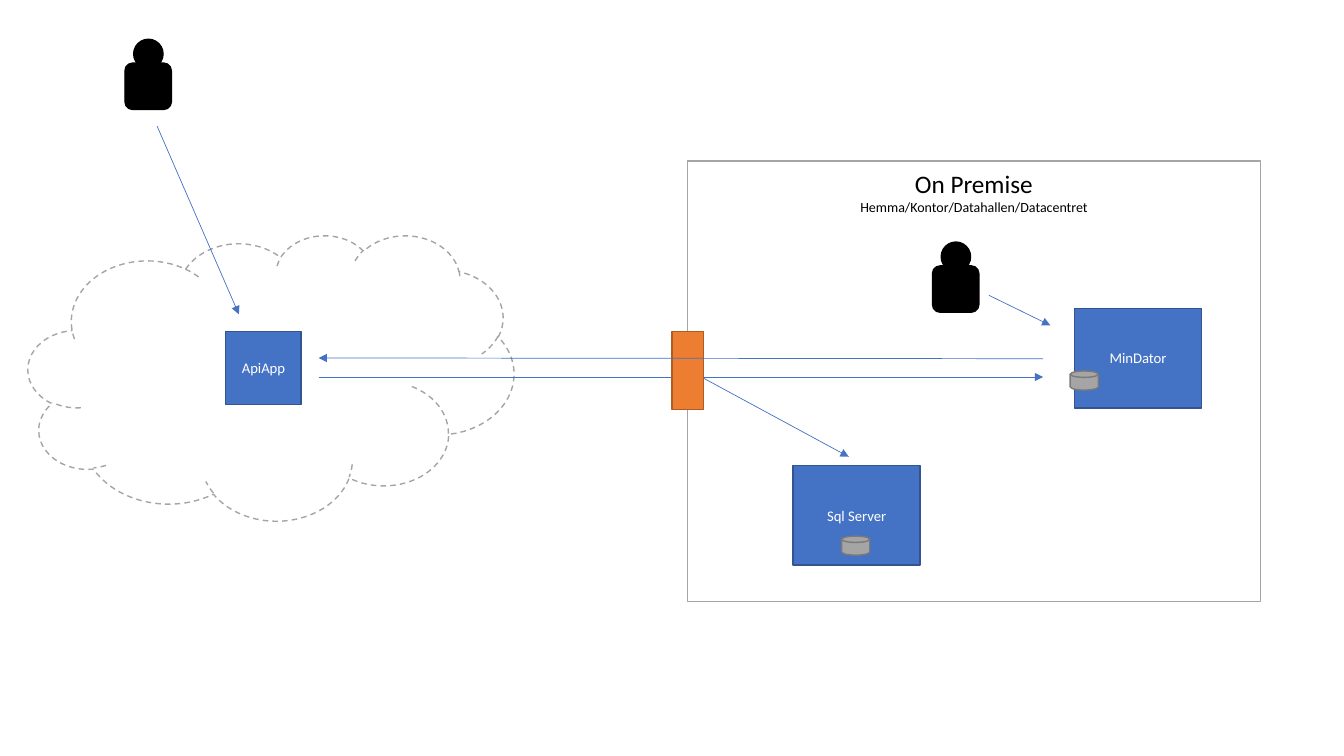
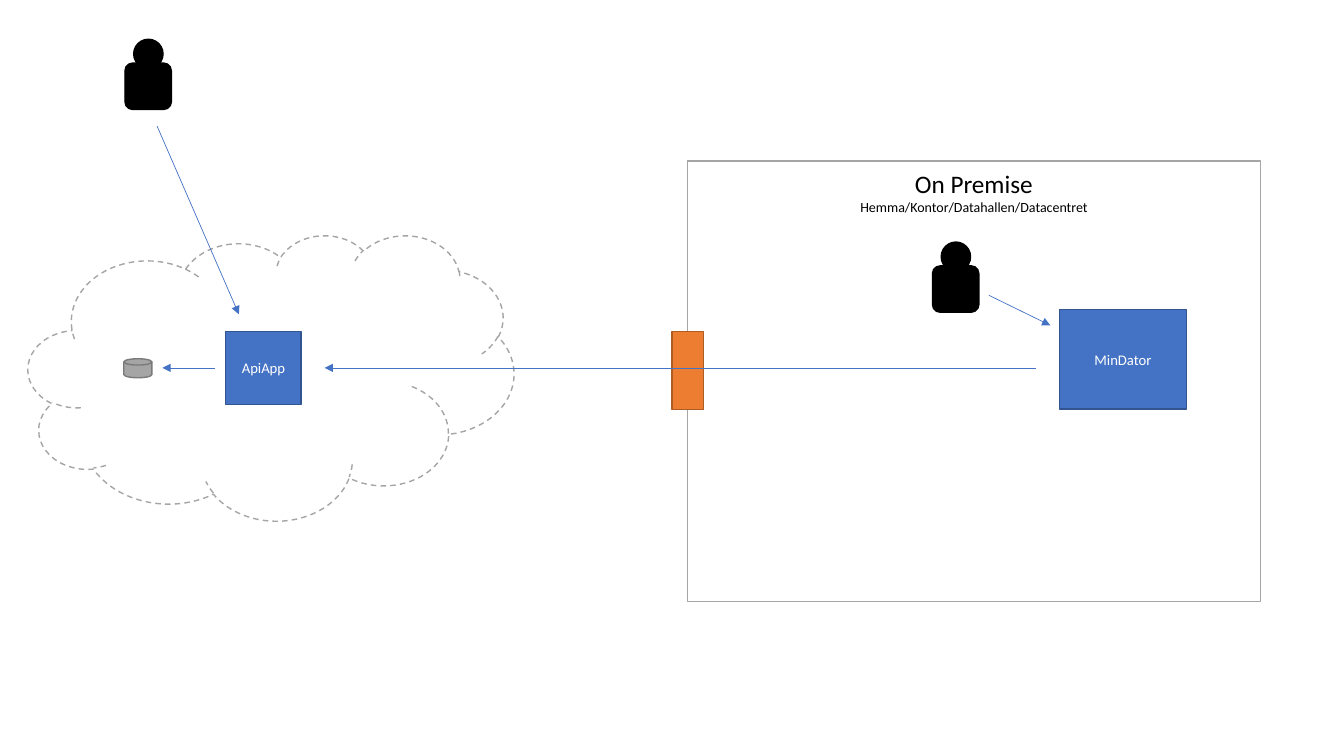
from lxml import etree
from pptx import Presentation
from pptx.dml.color import RGBColor
from pptx.enum.dml import MSO_LINE
from pptx.enum.shapes import MSO_CONNECTOR, MSO_SHAPE
from pptx.enum.text import MSO_ANCHOR, PP_ALIGN
from pptx.oxml.ns import qn
from pptx.util import Cm, Pt

RECT = MSO_SHAPE.RECTANGLE
ROUND = MSO_SHAPE.ROUNDED_RECTANGLE
OVAL = MSO_SHAPE.OVAL
CLOUD = MSO_SHAPE.CLOUD
DISK = MSO_SHAPE.FLOWCHART_MAGNETIC_DISK
STRAIGHT = MSO_CONNECTOR.STRAIGHT
DASH = MSO_LINE.DASH
CENTER = PP_ALIGN.CENTER
MIDDLE = MSO_ANCHOR.MIDDLE

FONT = "Calibri"
WHITE, BLACK = "FFFFFF", "000000"
BLUE, NAVY = "4472C4", "325491"
GRAY, SLATE = "A5A5A5", "7A7A7A"
ORANGE, BROWN = "ED7D31", "AF5C24"

SITE = (17.32, 4.06, 14.45, 11.1)
SKY = (0.71, 5.92, 12.24, 7.19)
HOST = (3.2, 2.51)


def color(code):
    return RGBColor.from_string(code)


def style(para, text, size, code):
    para.text = text
    para.alignment = CENTER
    para.font.name = FONT
    para.font.size = Pt(size)
    para.font.color.rgb = color(code)


def shape(parts, kind, box, fill, edge):
    item = parts.add_shape(kind, *map(Cm, box))
    item.shadow.inherit = False
    item.fill.solid()
    item.fill.fore_color.rgb = color(fill)
    item.line.color.rgb = color(edge)
    item.line.width = Pt(1)
    return item


def arrow(parts, start, end):
    line = parts.add_connector(STRAIGHT, *map(Cm, start + end))
    line.line.color.rgb = color(BLUE)
    line.line.width = Pt(0.5)
    props = line._element.spPr
    tail = etree.SubElement(props.find(qn("a:ln")), qn("a:tailEnd"))
    tail.set("type", "triangle")
    etree.SubElement(props, qn("a:effectLst"))


def node(parts, box, text):
    item = shape(parts, RECT, box, BLUE, NAVY)
    item.text_frame.vertical_anchor = MIDDLE
    style(item.text_frame.paragraphs[0], text, 10.5, WHITE)


def disk(parts, left, top):
    shape(parts, DISK, (left, top, 0.71, 0.48), GRAY, SLATE)


def host(parts, left, top, text, store=None):
    group = parts.add_group_shape().shapes
    node(group, (left, top) + HOST, text)
    if store:
        disk(group, left + store[0], top + store[1])


def person(parts, left, top):
    group = parts.add_group_shape().shapes
    shape(group, OVAL, (left + 0.22, top, 0.74, 0.74), BLACK, BLACK)
    shape(group, ROUND, (left, top + 0.6, 1.17, 1.17), BLACK, BLACK)


def site(parts, box):
    left, top, width, height = box
    shape(parts, RECT, box, WHITE, GRAY)
    title = parts.add_textbox(
        Cm(left + (width - 6.35) / 2), Cm(top + 0.05), Cm(6.35), Cm(1.45))
    frame = title.text_frame
    frame.word_wrap = False
    style(frame.paragraphs[0], "On Premise", 18, BLACK)
    style(frame.add_paragraph(), "Hemma/Kontor/Datahallen/Datacentret", 10, BLACK)
    person(parts, left + 6.18, top + 2.04)
    arrow(parts, (left + 7.6, top + 3.38), (left + 9.15, top + 4.14))


def cloud(parts, box):
    left, top = box[:2]
    shape(parts, CLOUD, box, WHITE, GRAY).line.dash_style = DASH
    node(parts, (left + 4.98, top + 2.44, 1.9, 1.83), "ApiApp")
    person(parts, left + 2.44, top - 4.93)
    arrow(parts, (left + 3.25, top - 2.74), (left + 5.31, top + 2))


def gate(parts, box):
    left, top = box[:2]
    shape(parts, RECT, (left - 0.38, top + 4.3, 0.79, 1.96), ORANGE, BROWN)


def base(deck):
    parts = deck.slides.add_slide(deck.slide_layouts[6]).shapes
    site(parts, SITE)
    cloud(parts, SKY)
    return parts


def relay(deck):
    parts = base(deck)
    arrow(parts, (8.03, 9.5), (26.29, 9.5))
    host(parts, 27.08, 7.77, "MinDator", (-0.11, 1.58))
    gate(parts, SITE)
    host(parts, 19.99, 11.73, "Sql Server", (1.22, 1.78))
    arrow(parts, (17.73, 9.53), (21.39, 11.51))
    arrow(parts, (26.29, 9.04), (8.03, 9.02))


def push(deck):
    parts = base(deck)
    host(parts, 26.7, 7.8, "MinDator")
    gate(parts, SITE)
    disk(parts, 3.12, 9.04)
    for start, end in ((5.41, 4.09), (26.11, 8.18)):
        arrow(parts, (start, 9.27), (end, 9.27))


def main():
    deck = Presentation()
    deck.slide_width = Cm(33.87)
    deck.slide_height = Cm(19.05)
    relay(deck)
    push(deck)
    deck.save("out.pptx")


if __name__ == "__main__":
    main()
